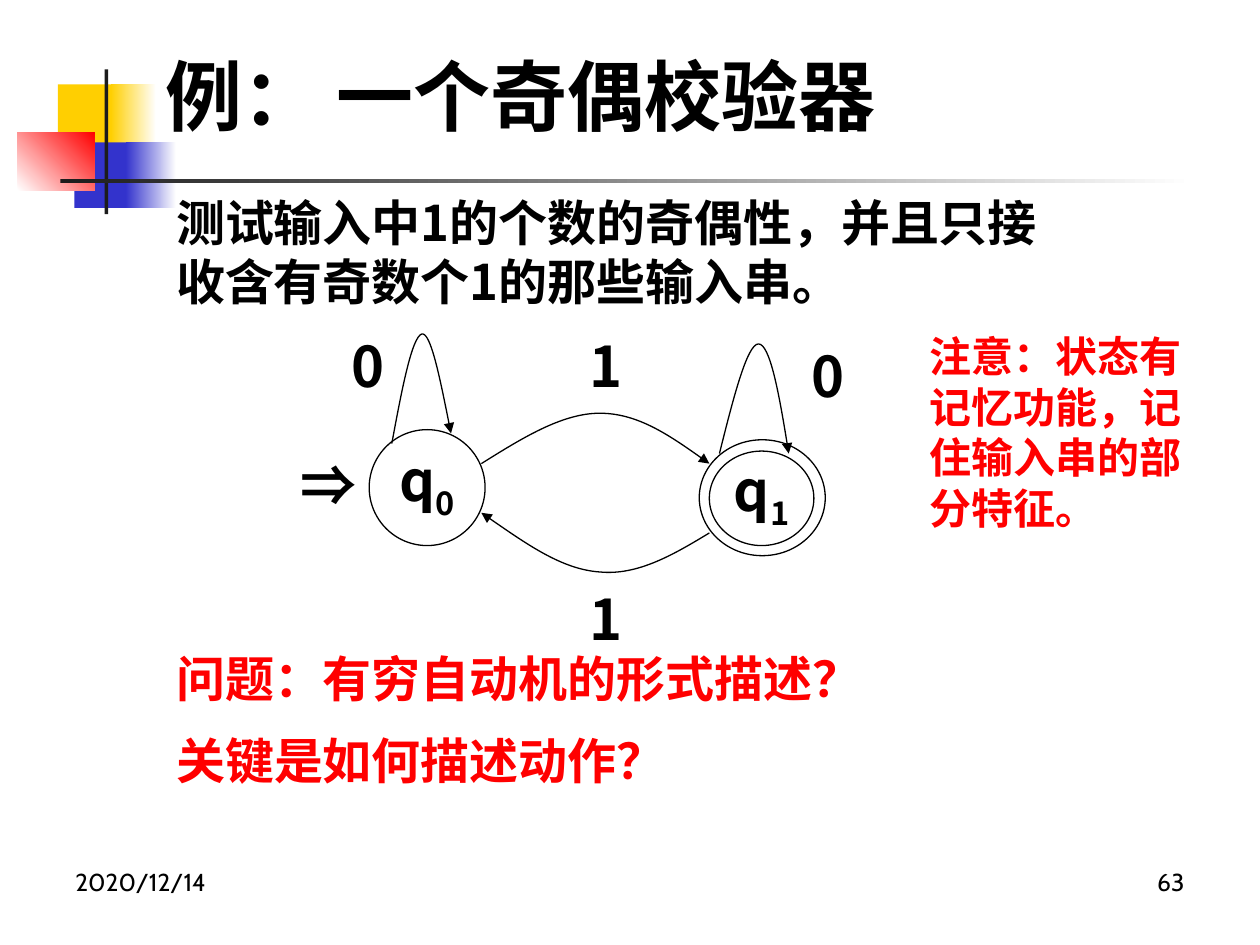
from lxml.etree import SubElement
from pptx import Presentation
from pptx.dml.color import RGBColor
from pptx.enum.shapes import MSO_SHAPE as Preset
from pptx.enum.text import MSO_ANCHOR as Anchor, PP_ALIGN as Align
from pptx.oxml.ns import qn
from pptx.util import Inches, Pt

BLACK = RGBColor(0x00, 0x00, 0x00)
WHITE = RGBColor(0xFF, 0xFF, 0xFF)
RED = RGBColor(0xFF, 0x00, 0x00)
YELLOW = RGBColor(0xFF, 0xCF, 0x01)
BLUE = RGBColor(0x33, 0x33, 0xCC)
CHARCOAL = RGBColor(0x1C, 0x1C, 0x1C)

CJK_FONT = "Noto Sans CJK SC"
LATIN_FONT = "Cabin"
TITLE_FONT = "Times New Roman"


def add_run(paragraph, text, size, font=CJK_FONT, color=BLACK, bold=True):
    run = paragraph.add_run()
    run.text = text
    run.font.size = Pt(size)
    run.font.bold = bold
    run.font.color.rgb = color
    run.font.name = font
    SubElement(run.font._element, qn("a:ea"), typeface=CJK_FONT)
    return run


def add_text(slide, box, lines, size, line_pitch=None, align=Align.LEFT, **style):
    """Write one paragraph per line; line_pitch is in points."""
    frame = slide.shapes.add_textbox(*map(Inches, box)).text_frame
    frame.word_wrap = True
    for index, line in enumerate(lines):
        paragraph = frame.paragraphs[0] if index == 0 else frame.add_paragraph()
        paragraph.alignment = align
        if line_pitch:
            paragraph.line_spacing = Pt(line_pitch)
        if index:
            paragraph.space_before = Pt(13)
        add_run(paragraph, line, size, **style)


def add_block(slide, box, color, end_color=None, angle=0):
    """Draw a borderless rectangle, fading to end_color when one is given."""
    shape = slide.shapes.add_shape(Preset.RECTANGLE, *map(Inches, box))
    shape.shadow.inherit = False
    shape.line.fill.background()
    if end_color is None:
        shape.fill.solid()
        shape.fill.fore_color.rgb = color
        return
    shape.fill.gradient()
    shape.fill.gradient_angle = angle
    for stop, stop_color in zip(shape.fill.gradient_stops, (color, end_color)):
        stop.color.rgb = stop_color


def set_outline(shape):
    shape.shadow.inherit = False
    shape.line.color.rgb = BLACK
    shape.line.width = Pt(0.75)


def add_state(slide, box, index=None):
    """Draw a state circle, labelled q with a subscript index if given."""
    circle = slide.shapes.add_shape(Preset.OVAL, *map(Inches, box))
    set_outline(circle)
    circle.fill.solid()
    circle.fill.fore_color.rgb = WHITE
    if index is None:
        return
    frame = circle.text_frame
    frame.word_wrap = False
    frame.vertical_anchor = Anchor.MIDDLE
    paragraph = frame.paragraphs[0]
    paragraph.alignment = Align.CENTER
    paragraph.line_spacing = Pt(39)
    add_run(paragraph, "q", 32)
    subscript = add_run(paragraph, index, 32)
    subscript.font._element.set("baseline", "-25000")


def add_transition(slide, start, *points):
    """Draw an arrow of cubic curves; each takes two controls and an end."""
    builder = slide.shapes.build_freeform(*map(Inches, start))
    builder.add_line_segments([tuple(map(Inches, p)) for p in points], close=False)
    shape = builder.convert_to_shape()
    segments = list(shape.element.iter(qn("a:lnTo")))
    for first in range(0, len(segments), 3):
        curve = SubElement(segments[first].getparent(), qn("a:cubicBezTo"))
        for segment in segments[first:first + 3]:
            curve.append(segment[0])
            segment.getparent().remove(segment)
    shape.fill.background()
    set_outline(shape)
    SubElement(shape.element.spPr.find(qn("a:ln")), qn("a:tailEnd"), type="triangle")


def add_title(slide, text):
    title = slide.shapes.title
    title.left, title.top, title.width, title.height = map(
        Inches, (1.21, 0.28, 6.23, 0.95))
    title.text_frame.vertical_anchor = Anchor.MIDDLE
    paragraph = title.text_frame.paragraphs[0]
    paragraph.alignment = Align.LEFT
    add_run(paragraph, text, 44, font=TITLE_FONT)


def add_decoration(slide):
    add_block(slide, (0.46, 0.67, 0.48, 0.52), YELLOW)
    add_block(slide, (0.88, 0.67, 0.36, 0.52), YELLOW, WHITE)
    add_block(slide, (0.59, 1.13, 0.46, 0.52), BLUE)
    add_block(slide, (1, 1.13, 0.4, 0.52), BLUE, WHITE)
    add_block(slide, (0.14, 1.05, 0.61, 0.46), WHITE, RED, angle=45)
    add_block(slide, (0.83, 0.55, 0.03, 1.15), CHARCOAL)
    add_block(slide, (0.48, 1.42, 9, 0.03), CHARCOAL, WHITE)


def add_automaton(slide):
    add_state(slide, (2.93, 3.41, 0.92, 0.92), "0")
    add_state(slide, (5.55, 3.49, 1, 0.92))
    add_state(slide, (5.63, 3.58, 0.83, 0.75), "1")
    for symbol, left, top in (("0", 2.69, 2.57), ("0", 6.34, 2.65),
                              ("1", 4.58, 2.57), ("1", 4.58, 4.58)):
        add_text(slide, (left, top, 0.42, 0.63), [symbol], 32, 39)
    add_text(slide, (1.77, 3.52, 1.67, 0.63), ["⇒"], 32, 39, Align.CENTER)
    add_transition(slide, (3.11, 3.52), (3.19, 3.09), (3.27, 2.67), (3.35, 2.65),
                   (3.42, 2.64), (3.5, 3.04), (3.58, 3.44))
    add_transition(slide, (5.71, 3.6), (5.82, 3.16), (5.93, 2.73), (6.02, 2.73),
                   (6.11, 2.73), (6.19, 3.16), (6.26, 3.6))
    add_transition(slide, (3.82, 3.68), (4.14, 3.48), (4.46, 3.28), (4.76, 3.28),
                   (5.06, 3.28), (5.35, 3.48), (5.63, 3.68))
    add_transition(slide, (5.63, 4.23), (5.35, 4.4), (5.06, 4.57), (4.76, 4.54),
                   (4.46, 4.52), (4.14, 4.29), (3.82, 4.07))


def main():
    presentation = Presentation()
    presentation.slide_width = Inches(10)
    presentation.slide_height = Inches(7.5)
    slide = presentation.slides.add_slide(presentation.slide_layouts[5])

    add_decoration(slide)
    add_title(slide, "例： 一个奇偶校验器")
    add_automaton(slide)
    add_text(slide, (1.3, 1.47, 7.4, 1.04),
             ["测试输入中1的个数的奇偶性，并且只接收含有奇数个1的那些输入串。"], 28, 34)
    add_text(slide, (1.3, 5.09, 5.98, 1.27),
             ["问题：有穷自动机的形式描述？", "关键是如何描述动作？"],
             28, 34, font=LATIN_FONT, color=RED)
    add_text(slide, (7.28, 2.57, 2.44, 1.72),
             ["注意：状态有记忆功能，记住输入串的部分特征。"],
             24, 29, font=LATIN_FONT, color=RED)
    add_text(slide, (0.5, 6.83, 2.33, 0.52), ["2020/12/14"], 14,
             font=LATIN_FONT, bold=False)
    add_text(slide, (7.17, 6.83, 2.33, 0.52), ["63"], 14, align=Align.RIGHT,
             font=LATIN_FONT, bold=False)
    presentation.save("out.pptx")


if __name__ == "__main__":
    main()
